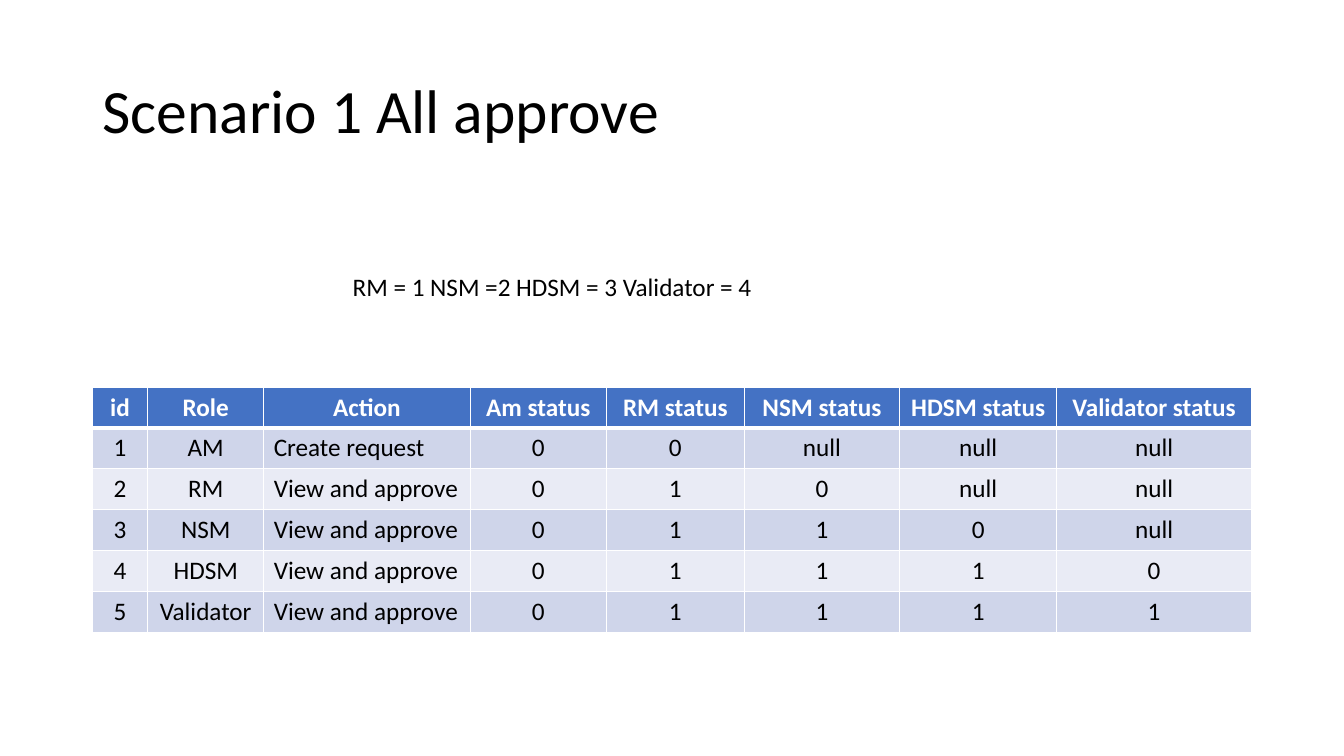
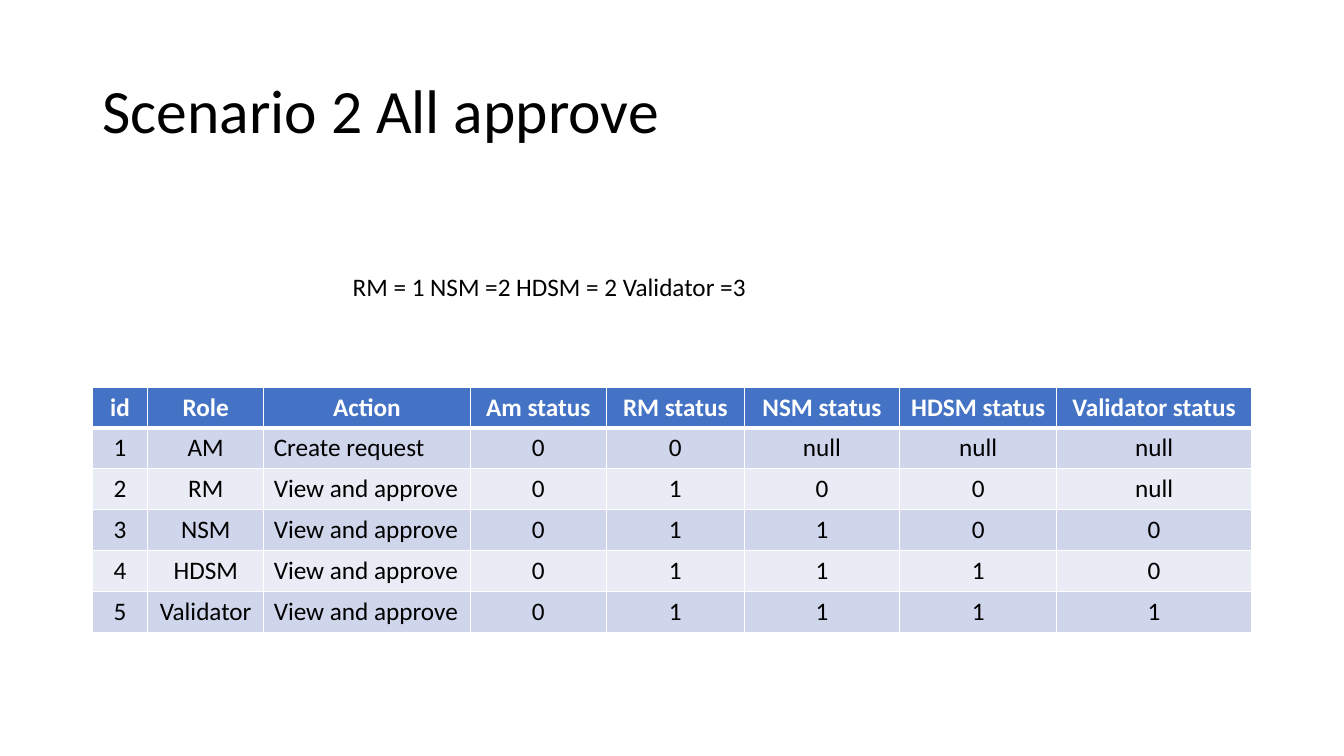
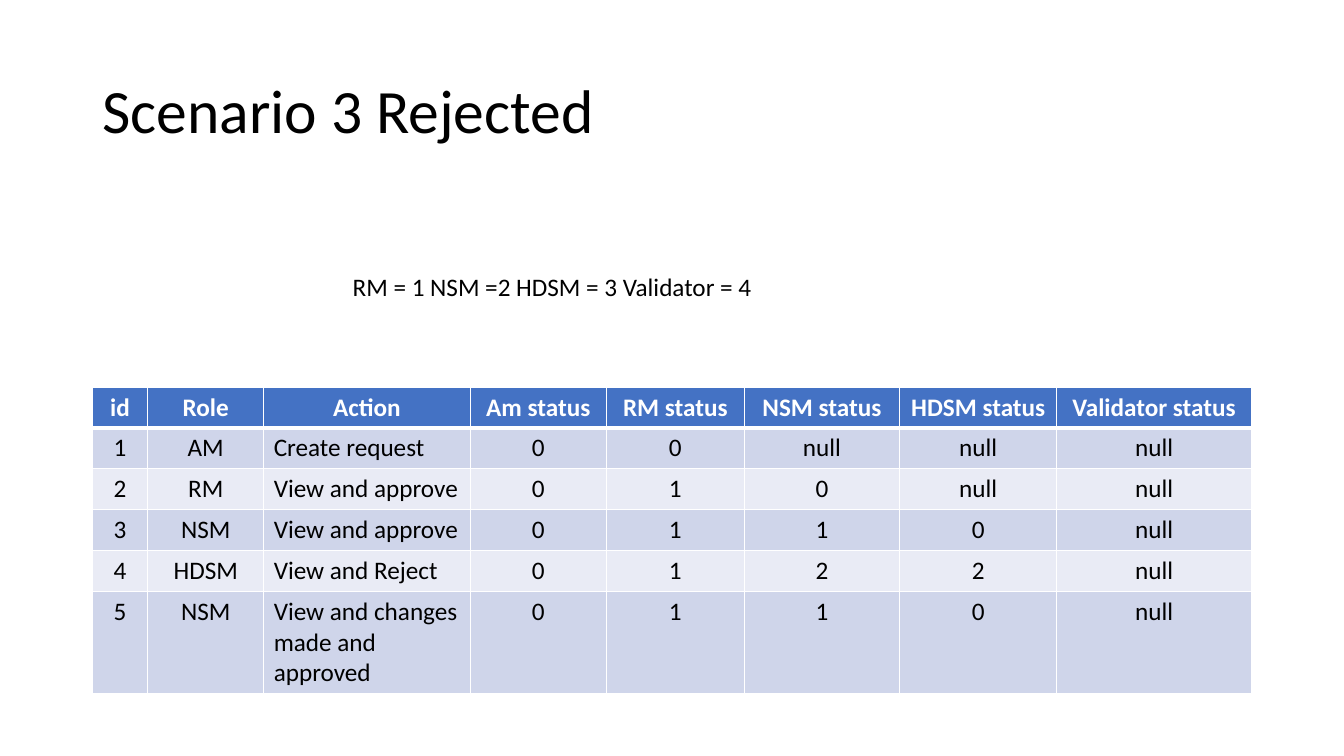
from lxml.etree import SubElement
from pptx import Presentation
from pptx.dml.color import RGBColor
from pptx.enum.text import MSO_ANCHOR, MSO_AUTO_SIZE as Fit, PP_ALIGN as Align
from pptx.oxml.ns import qn
from pptx.util import Inches, Pt

FONT, BLACK, WHITE = "Calibri", "000000", "FFFFFF"
HEAD, BANDS = "4472C4", ("CFD5EA", "E9EBF5")
UNIT = Inches(13.333) / 160  # the slide is a grid of 160 columns by 90 rows
LEFT, WIDE = 11, 138
ROW = 4.86
COLS = (6.6, 13.8, 24.6, 16.2, 16.44, 18.48, 18.72, 23.16)
ACTION = 2  # the only column set to the left

NAMES = ("id", "Role", "Action", "Am status", "RM status", "NSM status",
         "HDSM status", "Validator status")
VIEW = "View and approve"
START = ("AM", "Create request", "0 0 null null null")
END = ("Validator", VIEW, "0 1 1 1 1")
STEPS = "RM = 1 NSM =2 HDSM = 3 Validator = 4"

# title, note, note width, height of last row, table rows
SCENES = (
    ("Scenario 1 All approve", STEPS, 50.5, ROW, (
        START,
        ("RM", VIEW, "0 1 0 null null"),
        ("NSM", VIEW, "0 1 1 0 null"),
        ("HDSM", VIEW, "0 1 1 1 0"),
        END)),
    ("Scenario 2 All approve", "RM = 1 NSM =2 HDSM = 2 Validator =3", 49.8, ROW, (
        START,
        ("RM", VIEW, "0 1 0 0 null"),
        ("NSM", VIEW, "0 1 1 0 0"),
        ("HDSM", VIEW, "0 1 1 1 0"),
        END)),
    ("Scenario 3 Rejected", STEPS, 50.5, 12.06, (
        START,
        ("RM", VIEW, "0 1 0 null null"),
        ("NSM", VIEW, "0 1 1 0 null"),
        ("HDSM", "View and Reject", "0 1 2 2 null"),
        ("NSM", "View and changes made and approved", "0 1 1 0 null"))),
)


def grid(*cells):
    """Turn grid units into whole EMU."""
    return [round(c * UNIT) for c in cells]


def write(frame, text, size=18, color=BLACK, bold=False, align=Align.LEFT):
    par = frame.paragraphs[0]
    par.alignment = align
    run = par.add_run()
    run.text = text
    font = run.font
    font.name, font.size, font.bold = FONT, Pt(size), bold
    font.color.rgb = RGBColor.from_string(color)
    return par


deck = Presentation()
deck.slide_width, deck.slide_height = grid(160, 90)
layout = deck.slide_layouts[5]

for name, note, width, last, steps in SCENES:
    slide = deck.slides.add_slide(layout)

    title = slide.shapes.title
    title.left, title.top, title.width, title.height = grid(LEFT, 4.8, WIDE, 17.4)
    title.text_frame.auto_size = Fit.NONE
    title.text_frame.vertical_anchor = MSO_ANCHOR.MIDDLE
    write(title.text_frame, name, 44).line_spacing = 0.9

    rows = [NAMES]
    for num, (role, action, states) in enumerate(steps, 1):
        rows.append((str(num), role, action, *states.split()))
    place = grid(LEFT, 46.08, WIDE, ROW * (len(rows) - 1) + last)
    table = slide.shapes.add_table(len(rows), len(COLS), *place).table
    for col, size in zip(table.columns, grid(*COLS)):
        col.width = size
    for row in table.rows:
        row.height, = grid(ROW)
    row.height, = grid(last)

    for r, row in enumerate(rows):
        top = r == 0
        for c, text in enumerate(row):
            cell = table.cell(r, c)
            props = cell._tc.get_or_add_tcPr()
            for side in "LRTB":
                thick = (r, side) in ((0, "B"), (1, "T"))
                line = SubElement(props, qn("a:ln" + side), w=str(Pt(3 if thick else 1)))
                SubElement(SubElement(line, qn("a:solidFill")), qn("a:srgbClr"), val=WHITE)
            cell.fill.solid()
            cell.fill.fore_color.rgb = RGBColor.from_string(HEAD if top else BANDS[(r - 1) % 2])
            side = Align.LEFT if c == ACTION and not top else Align.CENTER
            write(cell.text_frame, text, color=WHITE if top else BLACK, bold=top, align=side)

    box = slide.shapes.add_textbox(*grid(40.8, 31.68, width, 4.8)).text_frame
    box.word_wrap = False
    box.auto_size = Fit.SHAPE_TO_FIT_TEXT
    write(box, note)

deck.save("out.pptx")
